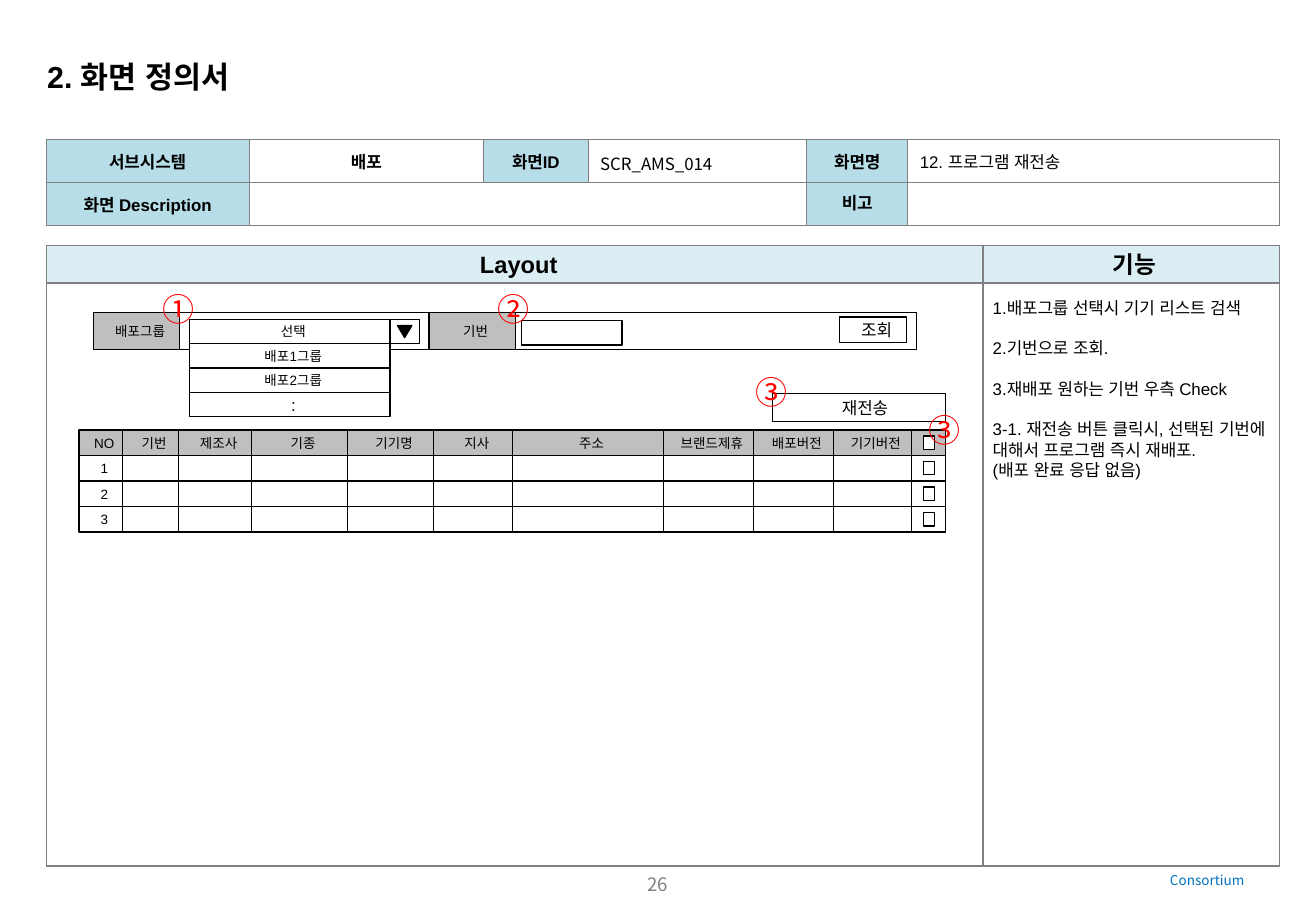
from dataclasses import dataclass

from lxml.etree import SubElement
from pptx import Presentation
from pptx.dml.color import RGBColor
from pptx.enum.shapes import MSO_SHAPE
from pptx.enum.text import MSO_ANCHOR, PP_ALIGN
from pptx.oxml.ns import qn
from pptx.util import Inches, Pt


@dataclass(frozen=True)
class Theme:
    """Colours, fonts and type sizes of the screen definition."""
    black: str = "000000"
    white: str = "FFFFFF"
    frame: str = "808080"
    label: str = "B7DEE8"
    heading: str = "DBEEF4"
    control: str = "BFBFBF"
    marker: str = "FF0000"
    footer: str = "0070C0"
    latin: str = "Arial"
    korean: str = "Noto Sans CJK KR"
    small: float = 8
    body: float = 10
    page: float = 11
    section: float = 14
    title: float = 18
    number: float = 19
    line: float = 0.75


T = Theme()
TIGHT = {"margin_left": Inches(0.1), "margin_top": Inches(0.02), "margin_right": Inches(0.04),
         "margin_bottom": Inches(0.02), "vertical_anchor": MSO_ANCHOR.MIDDLE}
ROOMY = {"margin_left": Inches(0.1), "margin_top": Inches(0.05), "margin_right": Inches(0.1),
         "margin_bottom": Inches(0.05), "vertical_anchor": MSO_ANCHOR.MIDDLE}
NOTE = {"margin_left": Inches(0.08), "margin_top": Inches(0.12), "margin_right": Inches(0.08),
        "margin_bottom": Inches(0.08), "vertical_anchor": MSO_ANCHOR.TOP}
CENTER = {"alignment": PP_ALIGN.CENTER}
LEFT = {"alignment": PP_ALIGN.LEFT}
SPACED = {"line_spacing": 1.2}


def apply(target, formats):
    """Set each format value on the target."""
    for name, value in formats.items():
        setattr(target, name, value)


def write(p, text, size, color=T.black, font=T.latin, bold=False, formats=LEFT):
    """Write one formatted run into a paragraph, or size an empty paragraph."""
    apply(p, formats)
    if not text:
        SubElement(p._p, qn("a:endParaRPr"), sz=str(int(size * 100)))
        return
    r = p.add_run()
    r.text = text
    apply(r.font, {"size": Pt(size), "name": font, "bold": bold})
    r.font.color.rgb = RGBColor.from_string(color)
    SubElement(r.font._element, qn("a:ea"), typeface=font)


def add_label(s, x, y, w, h, text, size, **style):
    """Add a free text label."""
    tf = s.shapes.add_textbox(Inches(x), Inches(y), Inches(w), Inches(h)).text_frame
    tf.word_wrap = True
    write(tf.paragraphs[0], text, size, **style)


def add_box(s, x, y, w, h, text="", size=T.small, fill=T.white, line=T.black,
            bold=False, kind=MSO_SHAPE.RECTANGLE):
    """Add an outlined box with optional centred text."""
    sp = s.shapes.add_shape(kind, Inches(x), Inches(y), Inches(w), Inches(h))
    sp.shadow.inherit = False
    sp.fill.solid()
    sp.fill.fore_color.rgb = RGBColor.from_string(fill)
    sp.line.color.rgb = RGBColor.from_string(line)
    sp.line.width = Pt(T.line)
    tf = sp.text_frame
    tf.word_wrap = True
    apply(tf, TIGHT)
    if text:
        write(tf.paragraphs[0], text, size, bold=bold, formats=CENTER)
    return sp


def add_grid(s, x, y, widths, heights):
    """Add an unstyled table with the given column widths and row heights."""
    table = s.shapes.add_table(len(heights), len(widths), Inches(x), Inches(y),
                               Inches(sum(widths)), Inches(sum(heights))).table
    apply(table, {"first_row": False, "horz_banding": False})
    for column, width in zip(table.columns, widths):
        column.width = Inches(width)
    for row, height in zip(table.rows, heights):
        row.height = Inches(height)
    return table


def fill_cell(cell, text, fill, **style):
    """Format a table cell with borders, fill and text."""
    apply(cell, ROOMY)
    tcPr = cell._tc.get_or_add_tcPr()
    for side in ("a:lnL", "a:lnR", "a:lnT", "a:lnB"):
        ln = SubElement(tcPr, qn(side), w=str(Pt(T.line)))
        SubElement(SubElement(ln, qn("a:solidFill")), qn("a:srgbClr"), val=T.frame)
    cell.fill.solid()
    cell.fill.fore_color.rgb = RGBColor.from_string(fill)
    write(cell.text_frame.paragraphs[0], text, T.body, **style)


def add_screen_info(s):
    """Add the table that identifies the screen."""
    rows = [["서브시스템", "배포", "화면ID", "SCR_AMS_014", "화면명", "12. 프로그램 재전송"],
            ["화면 Description", "", "", "", "비고", ""]]
    table = add_grid(s, 0.38, 1.15, [1.67, 1.93, 0.86, 1.8, 0.83, 3.06], [0.35, 0.36])
    for i, row in enumerate(rows):
        for j, text in enumerate(row):
            value = j in (3, 5)
            spacing = {} if text == "비고" else SPACED
            fill_cell(table.cell(i, j), text, T.white if j % 2 else T.label,
                      font=T.korean if j == 3 else T.latin, bold=not value,
                      formats={**(LEFT if value else CENTER), **spacing})
    table.cell(1, 1).merge(table.cell(1, 3))


def add_panels(s):
    """Add the layout panel and the function panel with its notes."""
    notes = [("1.배포그룹 선택시 기기 리스트 검색", 12), ("2.기번으로 조회.", 12),
             ("3.재배포 원하는 기번 우측 Check", 12),
             ("3-1. 재전송 버튼 클릭시, 선택된 기번에 대해서 프로그램 즉시 재배포.", 0),
             ("(배포 완료 응답 없음)", 0)]
    for x, w, heading in ((0.38, 7.72, "Layout"), (8.09, 2.44, "기능")):
        panel = add_box(s, x, 2.33, w, 4.8, line=T.frame)
        add_box(s, x, 2.02, w, 0.31, heading, T.section, T.heading, T.frame, True)
    tf = panel.text_frame
    apply(tf, NOTE)
    for i, (text, gap) in enumerate(notes):
        p = tf.add_paragraph() if i else tf.paragraphs[0]
        write(p, text, T.body, formats={**LEFT, "space_after": Pt(gap)})


def add_search_bar(s):
    """Add the search bar with its open group list."""
    add_box(s, 0.77, 2.57, 6.77, 0.31)
    for x, text in ((0.77, "배포그룹"), (3.53, "기번")):
        add_box(s, x, 2.57, 0.71, 0.31, text, fill=T.control)
    add_box(s, 6.91, 2.61, 0.55, 0.21, "조회", T.body)
    add_box(s, 4.29, 2.64, 0.83, 0.2)
    for i, option in enumerate(("선택", "배포1그룹", "배포2그룹", ":")):
        add_box(s, 1.56, 2.63 + 0.2 * i, 1.65, 0.2, option, T.body if option == ":" else T.small)
    add_box(s, 3.21, 2.63, 0.24, 0.2)
    add_box(s, 3.27, 2.68, 0.12, 0.1, fill=T.black, kind=MSO_SHAPE.FLOWCHART_MERGE)


def add_device_list(s):
    """Add the device list with its check boxes and resend button."""
    headings = ["NO", "기번", "제조사", "기종", "기기명", "지사", "주소",
                "브랜드제휴", "배포버전", "기기버전", ""]
    edges = [0.65, 1.01, 1.47, 2.07, 2.86, 3.57, 4.22, 5.46, 6.2, 6.86, 7.5, 7.78]
    rows = [headings] + [[str(n)] + [""] * (len(headings) - 1) for n in (1, 2, 3)]
    add_box(s, 6.36, 3.24, 1.42, 0.23, " 재전송", T.body)
    for i, row in enumerate(rows):
        y = 3.54 + 0.21 * i
        for left, right, text in zip(edges, edges[1:], row):
            add_box(s, left, y, right - left, 0.21, text, fill=T.white if i else T.control)
        add_box(s, 7.6, y + 0.05, 0.09, 0.11)


def main():
    """Build the screen definition slide."""
    prs = Presentation()
    apply(prs, {"slide_width": Inches(10.83), "slide_height": Inches(7.5)})
    s = prs.slides.add_slide(prs.slide_layouts[6])
    add_label(s, 9.53, 7.13, 1.02, 0.24, "Consortium", T.small, color=T.footer, font=T.korean)
    add_label(s, 3.96, 7.14, 2.91, 0.32, "26", T.page, color=T.frame, font=T.korean, formats=CENTER)
    add_label(s, 0.29, 0.43, 2.14, 0.4, "2. 화면 정의서", T.title, bold=True)
    add_screen_info(s)
    add_panels(s)
    add_search_bar(s)
    add_device_list(s)
    for x, y, mark in ((1.24, 2.33, "①"), (4, 2.33, "②"), (6.12, 3.02, "③"), (7.54, 3.33, "③")):
        add_label(s, x, y, 0.47, 0.42, mark, T.number, color=T.marker, font=T.korean)
    prs.save("out.pptx")


if __name__ == "__main__":
    main()
